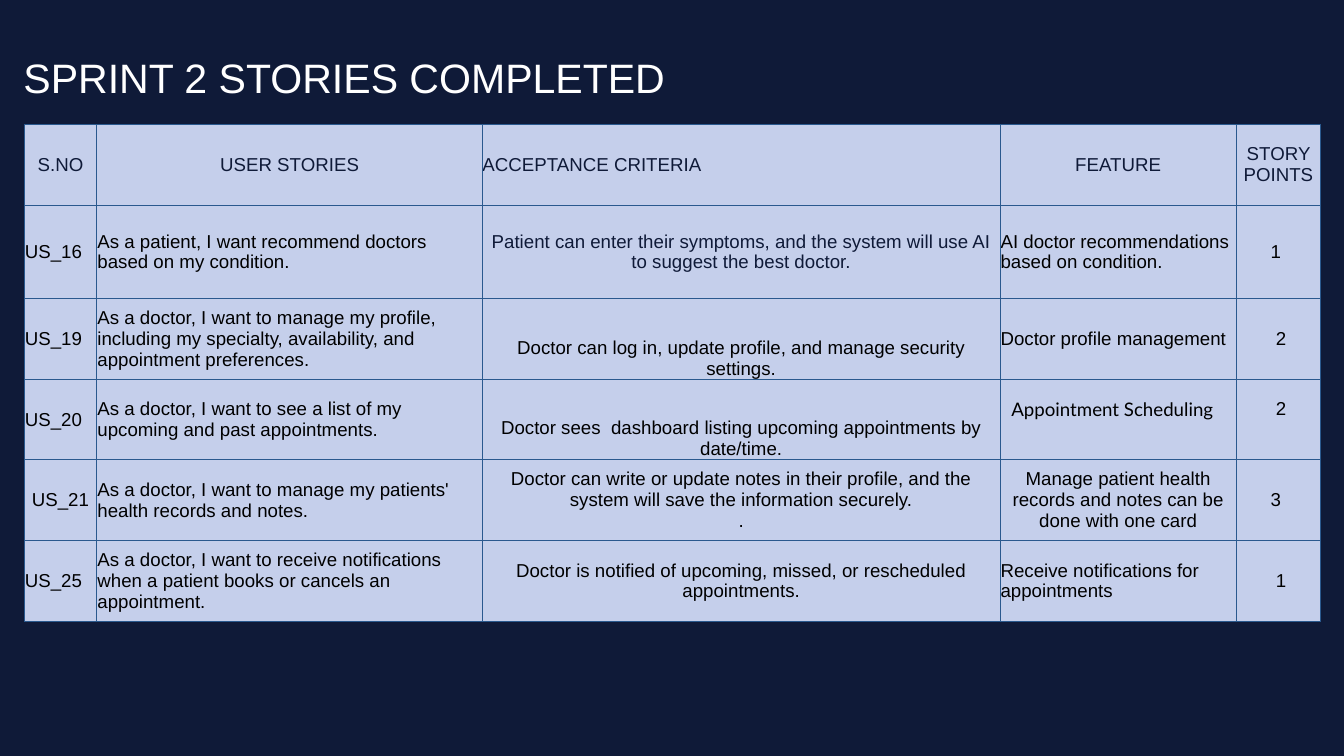
"""Build the slide that lists the stories completed in sprint 2."""
from lxml.etree import SubElement
from pptx import Presentation
from pptx.dml.color import RGBColor
from pptx.enum.text import MSO_ANCHOR, PP_ALIGN
from pptx.oxml.ns import qn
from pptx.util import Pt

PX = 9144
NAVY, PALE, BLUE, BLACK, WHITE = "0F1A38", "C5CFEB", "2A598E", "000000", "FFFFFF"
L, C = PP_ALIGN.LEFT, PP_ALIGN.CENTER


def color(value):
    return RGBColor.from_string(value)


def add_run(p, text, size, fill, font="Arial"):
    r = p.add_run()
    r.text = text
    r.font.size = Pt(size)
    r.font.name = font
    r.font.color.rgb = color(fill)


prs = Presentation()
prs.slide_width, prs.slide_height = 2000 * PX, 1125 * PX
s = prs.slides.add_slide(prs.slide_layouts[6])
s.background.fill.solid()
s.background.fill.fore_color.rgb = color(NAVY)

tf = s.shapes.add_textbox(25 * PX, 34 * PX, 1312 * PX, 161 * PX).text_frame
tf.word_wrap = True
tf.vertical_anchor = MSO_ANCHOR.MIDDLE
add_run(tf.paragraphs[0], "SPRINT 2 STORIES COMPLETED", 44, WHITE)

widths = [108, 574, 770, 352, 125]
heights = [120, 139, 120, 120, 120, 120]
stories = [
    ["S.NO", "USER STORIES", "ACCEPTANCE CRITERIA", "FEATURE", "STORY POINTS"],
    ["US_16", "As a patient, I want recommend doctors based on my condition.",
     "Patient can enter their symptoms, and the system will use AI to suggest the best doctor.",
     "AI doctor recommendations based on condition.", "1"],
    ["US_19", "As a doctor, I want to manage my profile, including my specialty, "
     "availability, and appointment preferences.",
     "Doctor can log in, update profile, and manage security settings.",
     "Doctor profile management", "2"],
    ["US_20", "As a doctor, I want to see a list of my upcoming and past appointments.",
     "Doctor sees  dashboard listing upcoming appointments by date/time.",
     "Appointment Scheduling", "2"],
    ["US_21", "As a doctor, I want to manage my patients' health records and notes.",
     "Doctor can write or update notes in their profile, and the system will save "
     "the information securely.\n.",
     "Manage patient health records and notes can be done with one card", "3"],
    ["US_25", "As a doctor, I want to receive notifications when a patient books "
     "or cancels an appointment.",
     "Doctor is notified of upcoming, missed, or rescheduled appointments.",
     "Receive notifications for appointments", "1"],
]
aligns = {0: [C, C, L, C, C], 4: [C, L, C, C, C]}
bottom_cells = {(2, 2), (3, 2)}
navy_cells = {(1, 2)}
lato_cells = {(3, 3)}
left_pads = {(2, 4): 8, (3, 3): 16, (3, 4): 8, (5, 4): 8}
right_pads = {(1, 4): 8, (4, 4): 8}
bottom_pads = {(3, 3): 31, (3, 4): 31}

table = s.shapes.add_table(len(heights), len(widths), 36 * PX, 185 * PX,
                           sum(widths) * PX, sum(heights) * PX).table
for column, width in zip(table.columns, widths):
    column.width = width * PX
for row, height in zip(table.rows, heights):
    row.height = height * PX

for i, story in enumerate(stories):
    for j, text in enumerate(story):
        cell, at = table.cell(i, j), (i, j)
        inset = 1 if i else 0
        cell.margin_left = (inset + left_pads.get(at, 0)) * PX
        cell.margin_right = (inset + right_pads.get(at, 0)) * PX
        cell.margin_top = inset * PX
        cell.margin_bottom = bottom_pads.get(at, 0) * PX
        cell.vertical_anchor = MSO_ANCHOR.BOTTOM if at in bottom_cells else MSO_ANCHOR.MIDDLE
        tcPr = cell._tc.get_or_add_tcPr()
        for side in ("a:lnL", "a:lnR", "a:lnT", "a:lnB"):
            ln = SubElement(tcPr, qn(side), w=str(Pt(0.75)))
            SubElement(SubElement(ln, qn("a:solidFill")), qn("a:srgbClr"), val=BLUE)
        cell.fill.solid()
        cell.fill.fore_color.rgb = color(PALE)
        tf = cell.text_frame
        for k, line in enumerate(text.split("\n")):
            p = tf.add_paragraph() if k else tf.paragraphs[0]
            p.alignment = aligns.get(i, [L, L, C, L, C])[j]
            add_run(p, line, 20, NAVY if i == 0 or at in navy_cells else BLACK,
                    "Lato" if at in lato_cells else "Arial")

prs.save("out.pptx")
